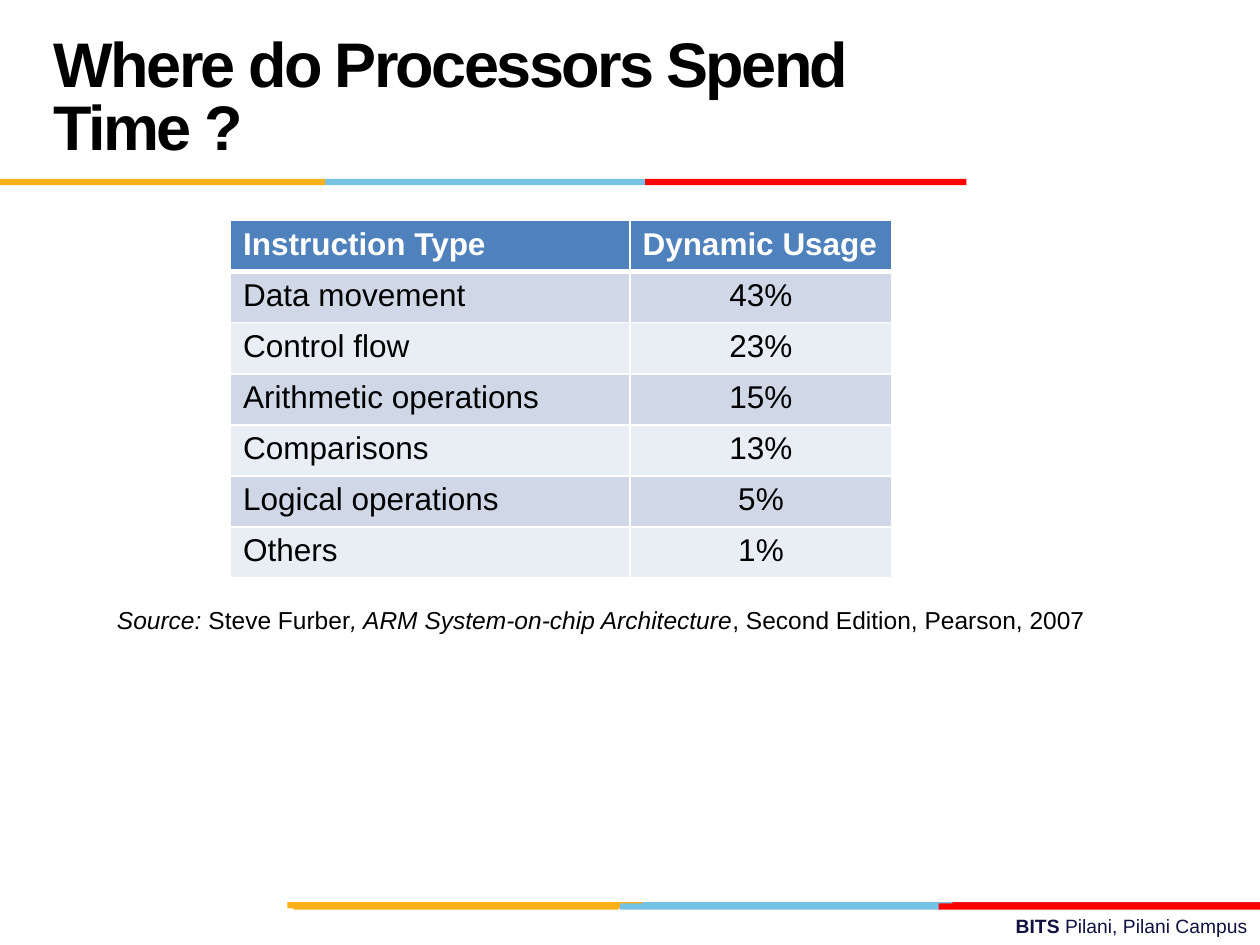
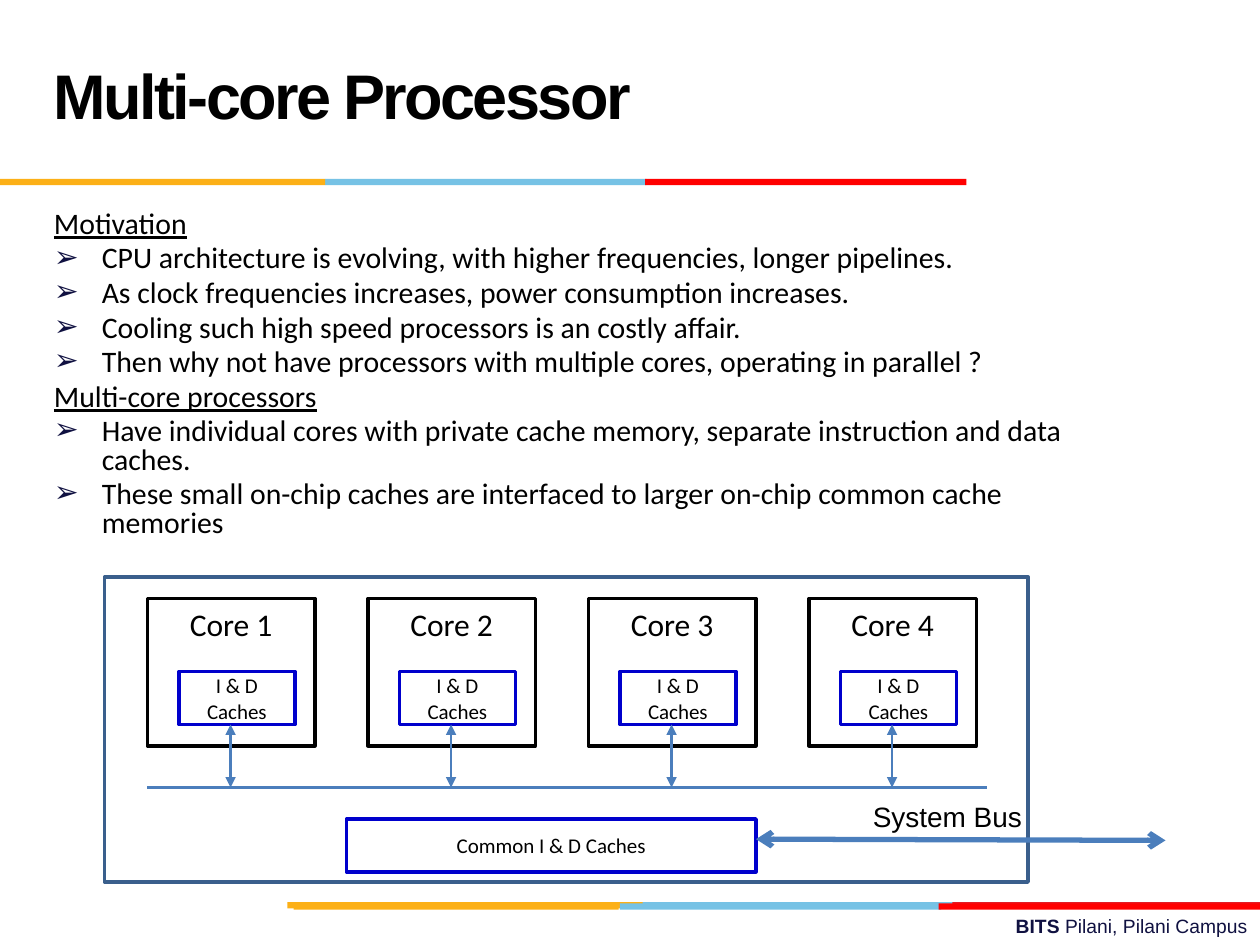
import lxml.etree
import pptx
import pptx.dml.color
import pptx.enum.shapes
import pptx.enum.text
import pptx.oxml
import pptx.oxml.ns
import pptx.util

Inches = pptx.util.Inches
Pt = pptx.util.Pt
ALIGN = pptx.enum.text.PP_ALIGN
ANCHOR = pptx.enum.text.MSO_ANCHOR
RGB = pptx.dml.color.RGBColor.from_string
qn = pptx.oxml.ns.qn

COLORS = {
    "black": "000000",
    "white": "FFFFFF",
    "navy": "101141",
    "gold": "FCB017",
    "sky": "76C2E5",
    "crimson": "E31C24",
    "red": "FF0000",
    "header": "4F81BD",
    "odd_row": "D0D8E8",
    "even_row": "E9EDF4",
    "chip": "3A5F8C",
    "cache": "0000CC",
    "bus": "4B7EBC",
}


def write(paragraph, text, size=18, font="Arial", color="black", bold=False,
          italic=False, underline=False, align=ALIGN.LEFT, tracking=None):
    paragraph.alignment = align
    run = paragraph.add_run()
    run.text = text
    run.font.size = Pt(size)
    run.font.name = font
    run.font.color.rgb = RGB(COLORS[color])
    run.font.bold = bold
    run.font.italic = italic
    run.font.underline = underline
    if tracking is not None:
        run.font._element.set("spc", str(int(tracking * 100)))


def add_box(slide, left, top, width, height, fill=None, line=None):
    box = slide.shapes.add_shape(
        pptx.enum.shapes.MSO_SHAPE.RECTANGLE,
        Inches(left), Inches(top), Inches(width), Inches(height))
    box.shadow.inherit = False
    if fill:
        box.fill.solid()
        box.fill.fore_color.rgb = RGB(COLORS[fill])
    else:
        box.fill.background()
    if line:
        box.line.color.rgb = RGB(COLORS[line])
        box.line.width = Pt(2)
    else:
        box.line.fill.background()
    box.text_frame.word_wrap = True
    return box


BANDS = [
    (5.06, 7.16, 2.55, "sky"),
    (7.56, 7.16, 2.44, "crimson"),
    (2.28, 7.16, 2.82, "gold"),
    (4.92, 7.17, 2.55, "sky"),
    (2.33, 7.17, 2.58, "gold"),
    (7.45, 7.17, 2.55, "red"),
    (2.58, 1.42, 2.55, "sky"),
    (0, 1.42, 2.58, "gold"),
    (5.12, 1.42, 2.55, "red"),
]

deck = pptx.Presentation()
deck.slide_width = Inches(10)
deck.slide_height = Inches(7.5)

slides = []
for heading in ("Where do Processors Spend Time ?", "Multi-core Processor"):
    slide = deck.slides.add_slide(deck.slide_layouts[6])
    slides.append(slide)

    campus = slide.shapes.add_textbox(Inches(3.58), Inches(7.21), Inches(6.42), Inches(0.29))
    campus.text_frame.word_wrap = True
    campus_line = campus.text_frame.paragraphs[0]
    write(campus_line, "BITS ", size=11, color="navy", bold=True, align=ALIGN.RIGHT)
    write(campus_line, "Pilani, Pilani Campus", size=11, color="navy", align=ALIGN.RIGHT)

    for left, top, width, color in BANDS:
        add_box(slide, left, top, width, 0.05, fill=color)

    title = slide.shapes.add_textbox(Inches(0.33), Inches(0.17), Inches(6.92), Inches(1.25))
    title.text_frame.word_wrap = True
    title.text_frame.vertical_anchor = ANCHOR.MIDDLE
    title_line = title.text_frame.paragraphs[0]
    title_line.line_spacing = Pt(36)
    write(title_line, heading, size=36, bold=True, tracking=-1.5)

usage_slide, core_slide = slides

USAGE = [
    ("Instruction Type", "Dynamic Usage"),
    ("Data movement", "43%"),
    ("Control flow", "23%"),
    ("Arithmetic operations", "15%"),
    ("Comparisons", "13%"),
    ("Logical operations", "5%"),
    ("Others", "1%"),
]

usage = usage_slide.shapes.add_table(
    len(USAGE), 2, Inches(1.83), Inches(1.75), Inches(5.25), Inches(2.84)).table
usage.columns[0].width = Inches(3.17)
usage.columns[1].width = Inches(2.08)
for row, values in enumerate(USAGE):
    for column, value in enumerate(values):
        cell = usage.cell(row, column)
        properties = cell._tc.get_or_add_tcPr()
        for side in ("lnL", "lnR", "lnT", "lnB"):
            thick = (row, side) in ((0, "lnB"), (1, "lnT"))
            border = lxml.etree.SubElement(
                properties, qn(f"a:{side}"), w=str(Pt(3 if thick else 1)))
            paint = lxml.etree.SubElement(border, qn("a:solidFill"))
            lxml.etree.SubElement(paint, qn("a:srgbClr"), val=COLORS["white"])
        cell.fill.solid()
        shade = "header" if row == 0 else ("even_row", "odd_row")[row % 2]
        cell.fill.fore_color.rgb = RGB(COLORS[shade])
        write(cell.text_frame.paragraphs[0], value,
              color="black" if row else "white", bold=row == 0,
              align=ALIGN.CENTER if row and column else ALIGN.LEFT)

citation = usage_slide.shapes.add_textbox(Inches(0.83), Inches(4.75), Inches(8.83), Inches(0.42))
citation.text_frame.word_wrap = True
for text, italic in [
    ("Source: ", True),
    ("Steve Furber", False),
    (", ARM System-on-chip Architecture", True),
    (", Second Edition, Pearson, 2007", False),
]:
    write(citation.text_frame.paragraphs[0], text, size=14, italic=italic)

POINTS = [
    ("Motivation", False),
    ("CPU architecture is evolving, with higher frequencies, longer pipelines.", True),
    ("As clock frequencies increases, power consumption increases.", True),
    ("Cooling such high speed processors is an costly affair.", True),
    ("Then why not have processors with multiple cores, operating in parallel ?", True),
    ("Multi-core processors", False),
    ("Have individual cores with private cache memory, separate instruction and data caches.", True),
    ("These small on-chip caches are interfaced to larger on-chip common cache memories", True),
]

points = core_slide.shapes.add_textbox(Inches(0.33), Inches(1.63), Inches(8.67), Inches(2.95))
points.text_frame.word_wrap = True
for index, (text, bulleted) in enumerate(POINTS):
    point = points.text_frame.add_paragraph() if index else points.text_frame.paragraphs[0]
    point.line_spacing = 0.8
    if index:
        point.space_before = Pt(3.4)
    layout = point._p.get_or_add_pPr()
    layout.set("marL", str(Inches(0.38)))
    layout.set("indent", str(-Inches(0.38)))
    if bulleted:
        bullet_color = lxml.etree.SubElement(layout, qn("a:buClr"))
        lxml.etree.SubElement(bullet_color, qn("a:srgbClr"), val=COLORS["navy"])
        lxml.etree.SubElement(layout, qn("a:buFont"), typeface="Arial")
        lxml.etree.SubElement(layout, qn("a:buChar"), char="➢")
    write(point, text, size=17, font="Calibri", underline=not bulleted)

add_box(core_slide, 0.83, 4.58, 7.33, 2.42, line="chip")

links = [
    (1.17, 6.25, 7.83, 6.25, 2.25, None),
    (6, 6.66, 9.25, 6.67, 3, "arrow"),
]
labels = [(2.75, 6.5, 3.25, 0.42, "Common I & D Caches", "cache", 12, ANCHOR.MIDDLE)]
for number in range(4):
    left = 1.17 + 1.75 * number
    labels.append((left, 4.75, 1.33, 1.17, f"Core {number + 1}", "black", 18, ANCHOR.TOP))
    labels.append((left + 0.25, 5.33, 0.92, 0.42, "I & D Caches", "cache", 12, ANCHOR.MIDDLE))
    links.append((left + 0.66, 5.75, left + 0.66, 6.25, 1.25, "triangle"))

for left, top, width, height, text, outline, size, anchor in labels:
    block = add_box(core_slide, left, top, width, height, line=outline)
    block.text_frame.vertical_anchor = anchor
    write(block.text_frame.paragraphs[0], text, size=size, font="Calibri", align=ALIGN.CENTER)

for x1, y1, x2, y2, weight, arrowhead in links:
    link = core_slide.shapes.add_connector(
        pptx.enum.shapes.MSO_CONNECTOR.STRAIGHT,
        Inches(x1), Inches(y1), Inches(x2), Inches(y2))
    link.line.color.rgb = RGB(COLORS["bus"])
    link.line.width = Pt(weight)
    if arrowhead:
        for end in ("headEnd", "tailEnd"):
            lxml.etree.SubElement(link.line._get_or_add_ln(), qn(f"a:{end}"), type=arrowhead)
    lxml.etree.SubElement(link._element.spPr, qn("a:effectLst"))

bus_label = core_slide.shapes.add_textbox(Inches(6.83), Inches(6.3), Inches(1.4), Inches(0.37))
bus_label.text_frame.word_wrap = False
write(bus_label.text_frame.paragraphs[0], "System Bus", size=16)

deck.save("out.pptx")
